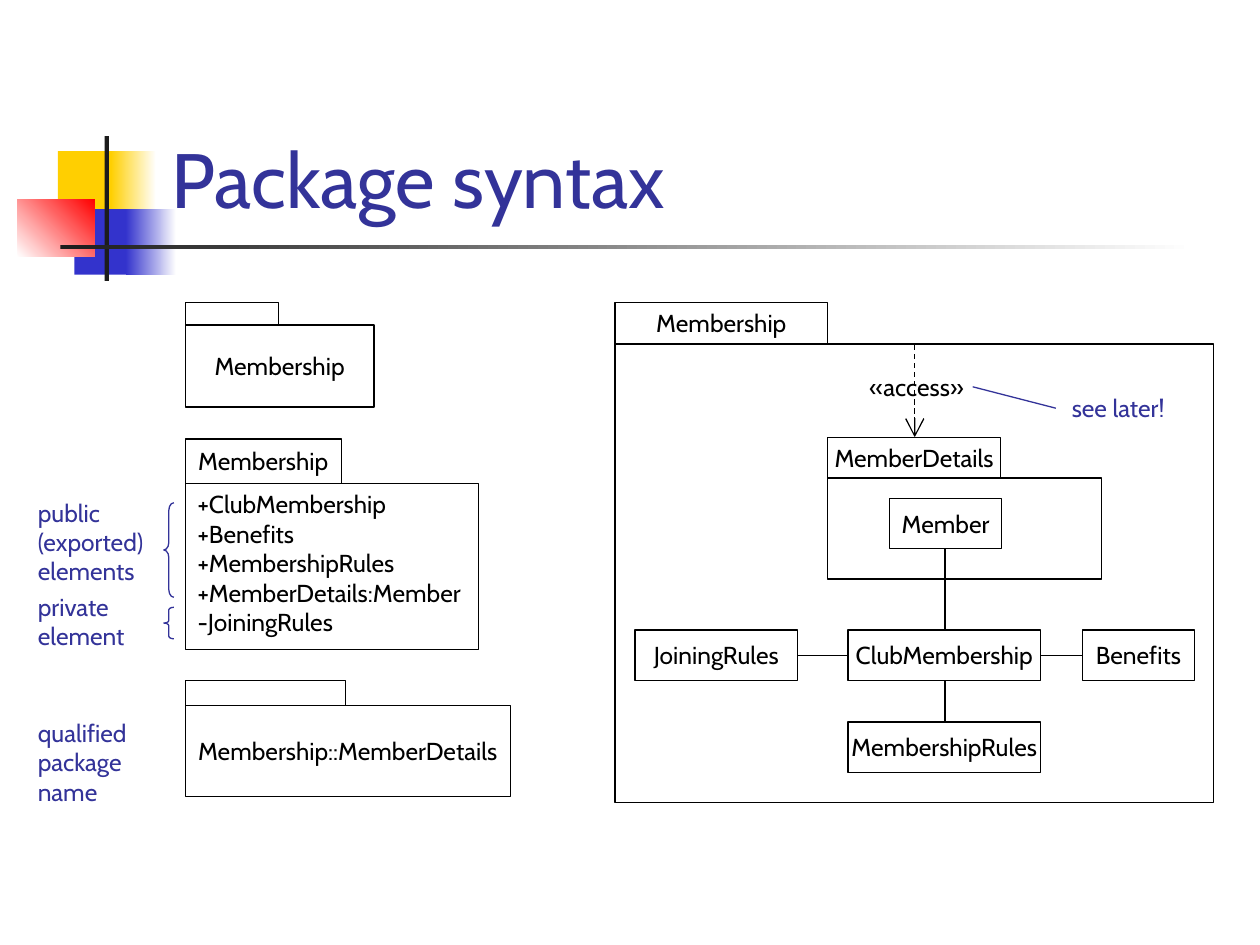
from dataclasses import dataclass

from lxml import etree
from pptx import Presentation
from pptx.dml.color import RGBColor
from pptx.enum.dml import MSO_LINE
from pptx.enum.shapes import MSO_CONNECTOR, MSO_SHAPE
from pptx.enum.text import MSO_ANCHOR, PP_ALIGN
from pptx.oxml.ns import qn
from pptx.util import Inches, Pt

RECTANGLE, LEFT_BRACE = MSO_SHAPE.RECTANGLE, MSO_SHAPE.LEFT_BRACE
STRAIGHT, DASH = MSO_CONNECTOR.STRAIGHT, MSO_LINE.DASH
TOP, MIDDLE, BOTTOM = MSO_ANCHOR.TOP, MSO_ANCHOR.MIDDLE, MSO_ANCHOR.BOTTOM
LEFT, CENTER = PP_ALIGN.LEFT, PP_ALIGN.CENTER

COLUMNS, ROWS = 100, 75
CELL = Inches(0.1)


@dataclass(frozen=True)
class Theme:
    font: str = "Cabin"
    title_size: float = 44
    body_size: float = 14
    line_width: float = 0.75
    ink: str = "000000"
    note: str = "333399"
    paper: str = "FFFFFF"
    bar: str = "1C1C1C"
    yellow: str = "FFCF01"
    blue: str = "3333CC"
    red: str = "FF0000"


THEME = Theme()


def cells(*counts):
    """Turn counts of grid columns or rows into lengths."""
    return [round(count * CELL) for count in counts]


def write(shape, text, color, size=THEME.body_size, align=CENTER,
          anchor=MIDDLE, wrap=False, side_inset=1):
    frame = shape.text_frame
    frame.word_wrap = wrap
    frame.vertical_anchor = anchor
    frame.margin_left, frame.margin_right = cells(side_inset, side_inset)
    frame.margin_top, frame.margin_bottom = cells(0.5, 0.5)
    frame.text = text
    for paragraph in frame.paragraphs:
        paragraph.alignment = align
        paragraph.font.name = THEME.font
        paragraph.font.size = Pt(size)
        paragraph.font.color.rgb = RGBColor.from_string(color)


def add_label(page, area, text, color=THEME.note, **style):
    box = page.shapes.add_textbox(*cells(*area))
    write(box, text, color, **style)


def set_line(line, color):
    line.color.rgb = RGBColor.from_string(color)
    line.width = Pt(THEME.line_width)


def add_block(page, area, *colors, angle=0):
    """Add a borderless block, graded when two colours are given."""
    block = page.shapes.add_shape(RECTANGLE, *cells(*area))
    block.shadow.inherit = False
    block.line.fill.background()
    if len(colors) == 1:
        block.fill.solid()
        block.fill.fore_color.rgb = RGBColor.from_string(colors[0])
        return
    block.fill.gradient()
    block.fill.gradient_angle = angle
    for stop, color in zip(block.fill.gradient_stops, colors):
        stop.color.rgb = RGBColor.from_string(color)


def add_box(page, area, text="", filled=True, **style):
    box = page.shapes.add_shape(RECTANGLE, *cells(*area))
    box.shadow.inherit = False
    set_line(box.line, THEME.ink)
    if filled:
        box.fill.solid()
        box.fill.fore_color.rgb = RGBColor.from_string(THEME.paper)
    else:
        box.fill.background()
    if text:
        write(box, text, THEME.ink, **style)


def add_package(page, corner, tab, body, name="", content="", filled=False,
                **style):
    """Add a body with a name tab on top; tab and body are (width, height)."""
    left, top = corner
    add_box(page, (left, top + tab[1], *body), content, filled, **style)
    add_box(page, (left, top, *tab), name, filled)


def add_line(page, start, end, color=THEME.ink, dashed_arrow=False):
    connector = page.shapes.add_connector(STRAIGHT, *cells(*start, *end))
    set_line(connector.line, color)
    if dashed_arrow:
        connector.line.dash_style = DASH
        outline = connector.line._get_or_add_ln()
        etree.SubElement(outline, qn("a:tailEnd"), type="arrow", w="lg", len="lg")
    etree.SubElement(connector._element.spPr, qn("a:effectLst"))


def add_brace(page, area, curl):
    brace = page.shapes.add_shape(LEFT_BRACE, *cells(*area))
    brace.shadow.inherit = False
    brace.fill.background()
    brace.adjustments[0] = curl
    set_line(brace.line, THEME.note)


def add_heading(page):
    add_block(page, (4.6, 12, 4.8, 5.2), THEME.yellow)
    add_block(page, (8.8, 12, 3.6, 5.2), THEME.yellow, THEME.paper)
    add_block(page, (5.9, 16.6, 4.6, 5.2), THEME.blue)
    add_block(page, (10, 16.6, 4, 5.2), THEME.blue, THEME.paper)
    add_block(page, (1.4, 15.8, 6.1, 4.6), THEME.paper, THEME.red, angle=45)
    add_block(page, (8.3, 10.8, 0.35, 11.5), THEME.bar)
    add_block(page, (4.8, 19.45, 90, 0.35), THEME.bar, THEME.paper)
    add_label(page, (12.6, 2.3, 85.2, 16), "Package syntax",
              size=THEME.title_size, align=LEFT, anchor=BOTTOM, wrap=True)


def add_notations(page):
    """Add the three ways to draw a package, with their notes."""
    left = 14.7
    members = ["+ClubMembership", "+Benefits", "+MembershipRules",
               "+MemberDetails:Member", "-JoiningRules"]
    add_package(page, (left, 24), (7.4, 1.8), (15, 6.5), content="Membership")
    add_package(page, (left, 34.85), (12.4, 3.5), (23.3, 13.2), "Membership",
                "\n".join(members), align=LEFT, anchor=TOP)
    add_package(page, (left, 54), (12.7, 2), (25.8, 7.2),
                content="Membership::MemberDetails")

    add_brace(page, (13, 39.9, 0.8, 7.5), 0.75)
    add_brace(page, (13, 48.2, 0.8, 2.5), 0.25)
    notes = [(39, 10.8, 8, "public (exported) elements"),
             (46.5, 9.2, 5.7, "private element"),
             (56.5, 8.3, 8, "qualified package\vname")]
    for top, width, height, text in notes:
        add_label(page, (3, top, width, height), text,
                  align=LEFT, anchor=TOP, wrap=True, side_inset=0)


def add_membership_diagram(page):
    class_height, class_row = 4, 50
    center_row = class_row + class_height / 2
    hub_left, hub_width, hub_axis = 67.3, 15.3, 75
    rules_row = 57.3

    add_package(page, (48.8, 24), (16.9, 3.3), (47.5, 36.4), "Membership")
    classes = [("ClubMembership", hub_left, class_row, hub_width),
               ("MembershipRules", hub_left, rules_row, hub_width),
               ("Benefits", 85.9, class_row, 8.9),
               ("JoiningRules", 50.4, class_row, 12.9)]
    for name, left, top, width in classes:
        add_box(page, (left, top, width, class_height), name)

    add_package(page, (65.7, 34.7), (13.7, 3.25), (21.7, 8), "MemberDetails",
                filled=True)
    add_box(page, (70.6, 39.55, 8.9, class_height), "Member")

    links = [((hub_axis, class_row + class_height), (hub_axis, rules_row)),
             ((hub_left + hub_width, center_row), (85.9, center_row)),
             ((63.3, center_row), (hub_left, center_row)),
             ((hub_axis, class_row), (hub_axis, 43.55))]
    for start, end in links:
        add_line(page, start, end)

    add_line(page, (72.6, 27.4), (72.6, 34.7), dashed_arrow=True)
    add_label(page, (66.3, 29, 12.9, 3.4), "«access»", THEME.ink,
              anchor=TOP, wrap=True)
    add_label(page, (83.6, 30.7, 10.3, 3.4), "see later!", anchor=TOP)
    add_line(page, (77.2, 30.7), (83.8, 32.4), THEME.note)


def main():
    deck = Presentation()
    deck.slide_width, deck.slide_height = cells(COLUMNS, ROWS)
    page = deck.slides.add_slide(deck.slide_layouts[6])
    add_heading(page)
    add_notations(page)
    add_membership_diagram(page)
    deck.save("out.pptx")


if __name__ == "__main__":
    main()
